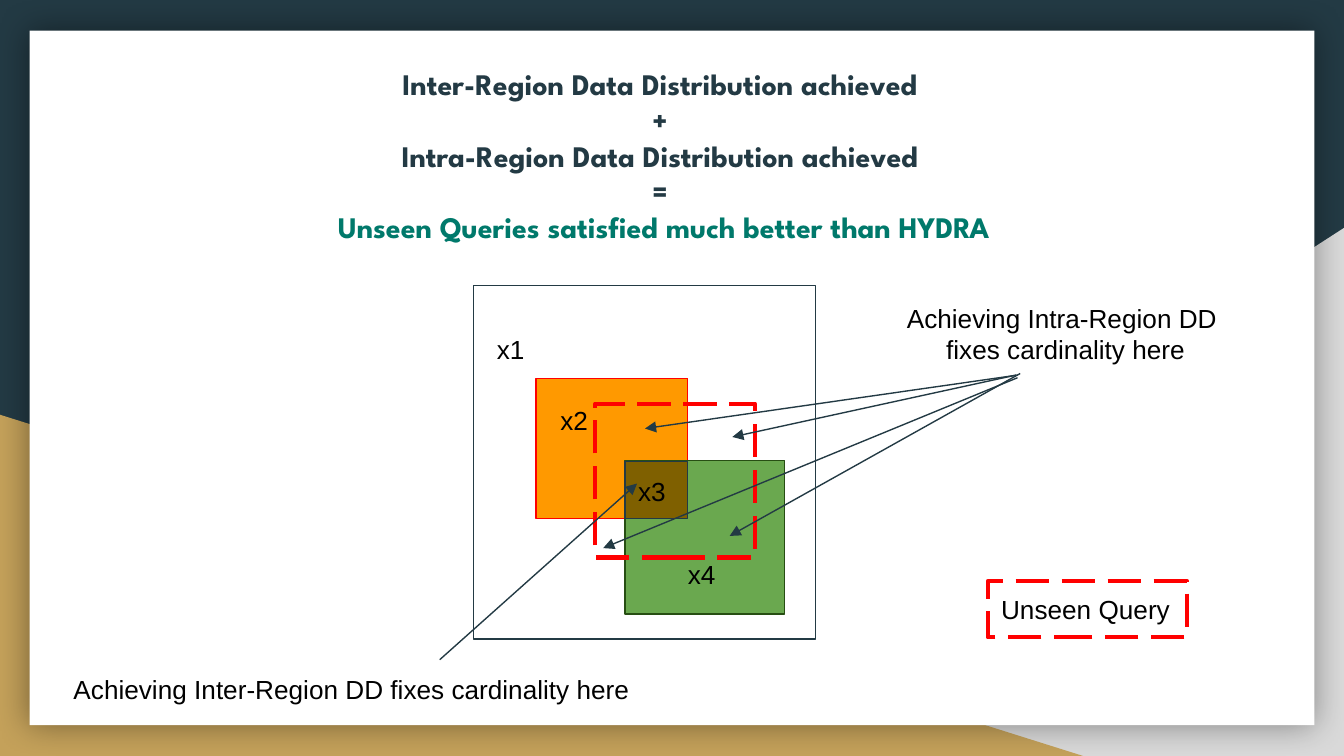
from lxml import etree
from pptx import Presentation
from pptx.dml.color import RGBColor
from pptx.enum.dml import MSO_LINE
from pptx.enum.shapes import MSO_CONNECTOR, MSO_SHAPE
from pptx.enum.text import MSO_ANCHOR, PP_ALIGN
from pptx.oxml.ns import qn
from pptx.util import Cm, Pt

RECT, TRIANGLE = MSO_SHAPE.RECTANGLE, MSO_SHAPE.RIGHT_TRIANGLE
STRAIGHT, LONG_DASH = MSO_CONNECTOR.STRAIGHT, MSO_LINE.LONG_DASH
LEFT, CENTER = PP_ALIGN.LEFT, PP_ALIGN.CENTER
TOP, MIDDLE = MSO_ANCHOR.TOP, MSO_ANCHOR.MIDDLE

COLORS = {
    "navy": "233A44", "grey": "D9D9D9", "gold": "C4A15A", "white": "FFFFFF",
    "teal": "00796B", "orange": "FF9900", "red": "FF0000", "green": "6AA84F",
    "dark green": "274E13", "brown": "7F6000", "black": "000000",
}
RGB = {name: RGBColor.from_string(value) for name, value in COLORS.items()}

prs = Presentation()
prs.slide_width, prs.slide_height = Cm(25.4), Cm(14.29)
s = prs.slides.add_slide(prs.slide_layouts[6])
s.background.fill.solid()
s.background.fill.fore_color.rgb = RGB["navy"]


def add_shape(kind, box, fill=None, line=None, width=0.75, dash=None):
    sp = s.shapes.add_shape(kind, *map(Cm, box))
    sp.shadow.inherit = False
    if fill:
        sp.fill.solid()
        sp.fill.fore_color.rgb = RGB[fill]
    else:
        sp.fill.background()
    if line:
        sp.line.color.rgb = RGB[line]
        sp.line.width = Pt(width)
        if dash:
            sp.line.dash_style = dash
    else:
        sp.line.fill.background()
    return sp


def write(sp, lines, align=LEFT, anchor=TOP, size=14, font="Arial", bold=False):
    tf = sp.text_frame
    tf.word_wrap = True
    tf.vertical_anchor = anchor
    tf.margin_left = tf.margin_right = tf.margin_top = tf.margin_bottom = Cm(0.25)
    for i, (text, color) in enumerate(lines):
        p = tf.add_paragraph() if i else tf.paragraphs[0]
        p.alignment = align
        r = p.add_run()
        r.text = text
        r.font.size = Pt(size)
        r.font.name = font
        r.font.bold = bold
        r.font.color.rgb = RGB[color]


corner = add_shape(TRIANGLE, (9.96, 4.31, 15.44, 9.98), "grey")
corner._element.spPr.find(qn("a:xfrm")).set("flipH", "1")
add_shape(TRIANGLE, (0, 7.84, 20.47, 6.45), "gold")

panel = add_shape(RECT, (0.56, 0.58, 24.28, 13.13), "white")
effects = panel._element.spPr.find(qn("a:effectLst"))
shadow = etree.SubElement(effects, qn("a:outerShdw"), blurRad=str(Pt(18)),
                          dist="0", dir="0", algn="ctr", rotWithShape="0")
shade = etree.SubElement(shadow, qn("a:srgbClr"), val=COLORS["black"])
etree.SubElement(shade, qn("a:alpha"), val="40000")

title = s.shapes.add_textbox(Cm(0.97), Cm(0.99), Cm(23.16), Cm(3.51))
write(title, [
    ("Inter-Region Data Distribution achieved ", "navy"),
    ("+ ", "navy"),
    ("Intra-Region Data Distribution achieved ", "navy"),
    ("= ", "navy"),
    ("Unseen Queries satisfied much better than HYDRA", "teal"),
], CENTER, size=16, font="League Spartan", bold=True)

add_shape(RECT, (10.13, 7.15, 2.87, 2.65), "orange", "red")
add_shape(RECT, (11.81, 8.7, 3.02, 2.91), "green", "dark green")
add_shape(RECT, (8.95, 5.4, 6.46, 6.68), None, "navy")
add_shape(RECT, (11.81, 8.72, 1.19, 1.08), "brown", "navy")

for text, x, y in [("x1", 9.14, 6.05), ("x3", 11.81, 8.74),
                   ("x2", 10.34, 7.39), ("x4", 12.75, 10.31)]:
    write(s.shapes.add_textbox(Cm(x), Cm(y), Cm(1.8), Cm(1.07)), [(text, "black")])

add_shape(RECT, (11.25, 7.63, 3.02, 2.91), None, "red", 2.25, LONG_DASH)

inter = s.shapes.add_textbox(Cm(1.14), Cm(12.47), Cm(19.28), Cm(1.2))
write(inter, [("Achieving Inter-Region DD fixes cardinality here", "black")])
intra = s.shapes.add_textbox(Cm(14.94), Cm(5.46), Cm(10.4), Cm(1.8))
write(intra, [("Achieving Intra-Region DD ", "black"),
              ("fixes cardinality here", "black")], CENTER)

for x1, y1, x2, y2 in [
    (8.31, 12.47, 12.04, 9.14),
    (19.28, 7.06, 13.79, 10.13),
    (19.2, 7.09, 13.84, 8.26),
    (19.23, 7.09, 12.19, 8.1),
    (19.23, 7.14, 11.4, 10.36),
]:
    arrow = s.shapes.add_connector(STRAIGHT, Cm(x1), Cm(y1), Cm(x2), Cm(y2))
    arrow.line.color.rgb = RGB["navy"]
    arrow.line.width = Pt(0.75)
    etree.SubElement(arrow.line._get_or_add_ln(), qn("a:tailEnd"), type="triangle")
    etree.SubElement(arrow._element.spPr, qn("a:effectLst"))

legend = add_shape(RECT, (18.67, 10.98, 3.76, 1.07), None, "red", 2.25, LONG_DASH)
write(legend, [("Unseen Query", "black")], anchor=MIDDLE)

prs.save("out.pptx")
